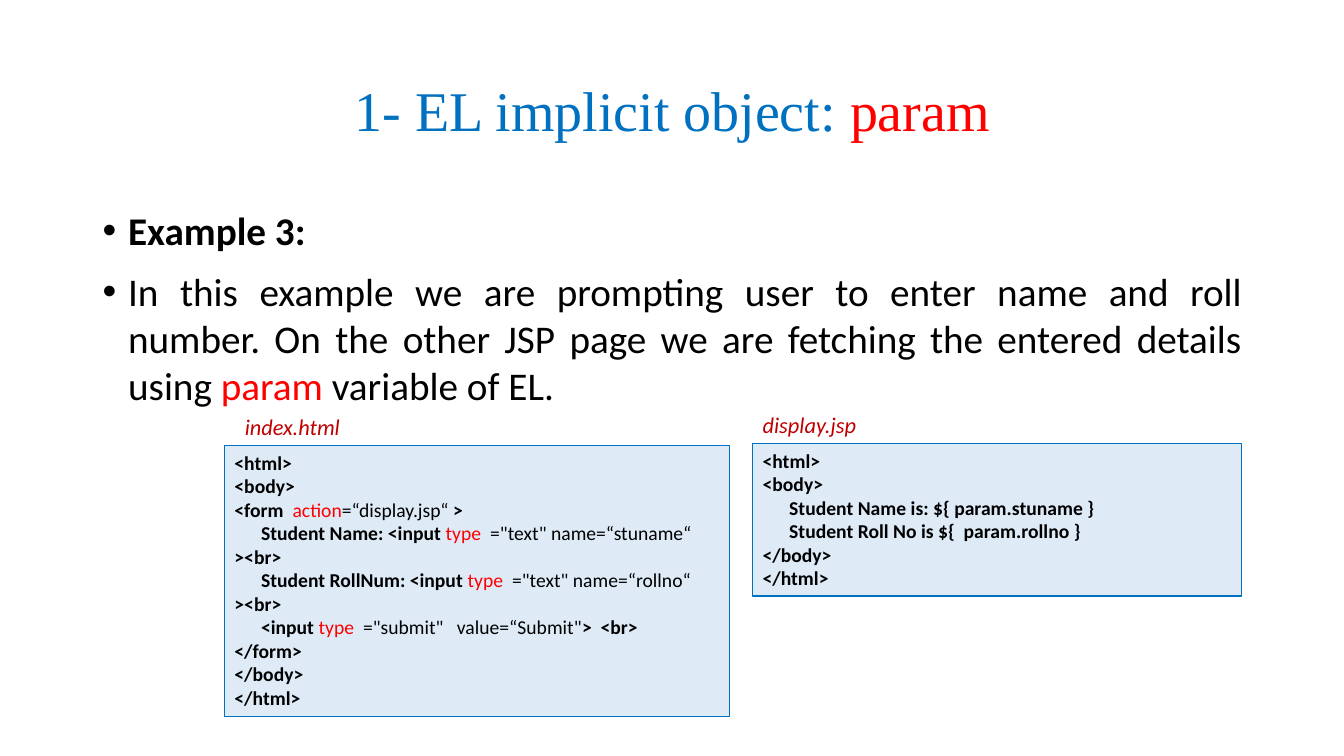
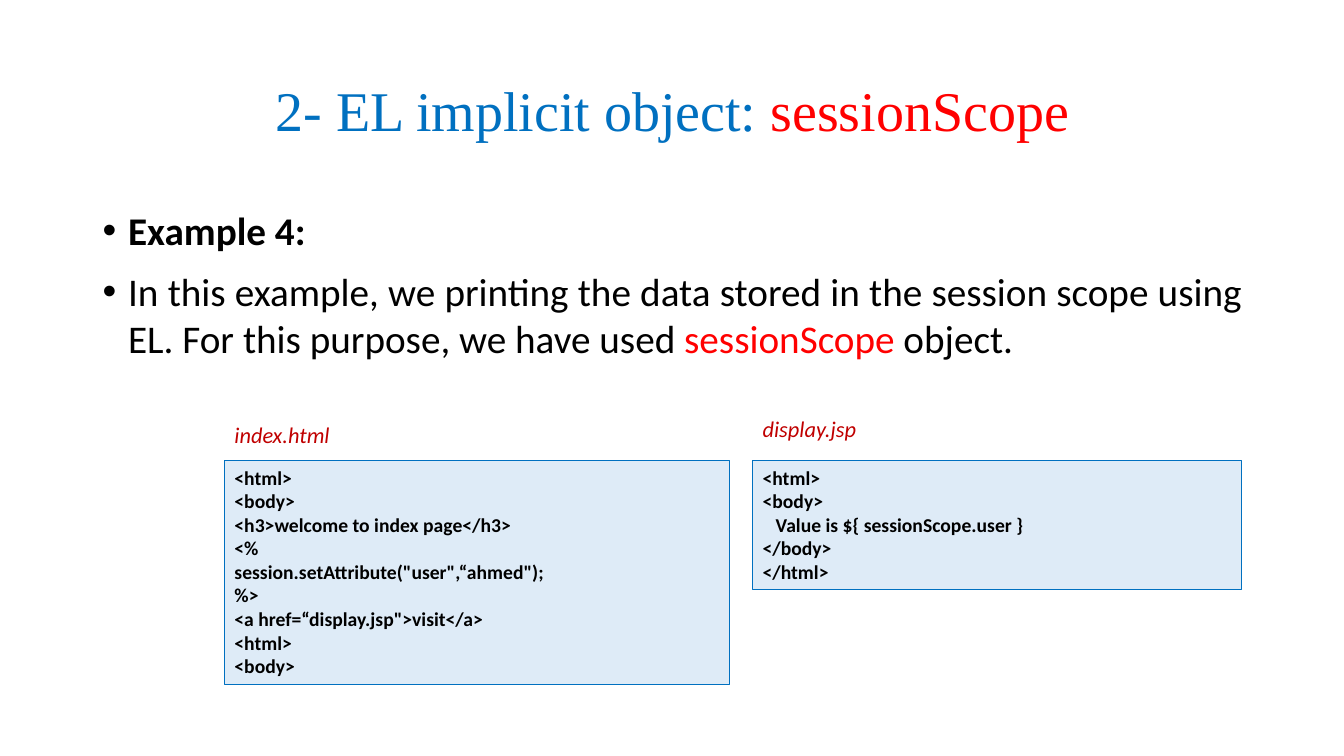
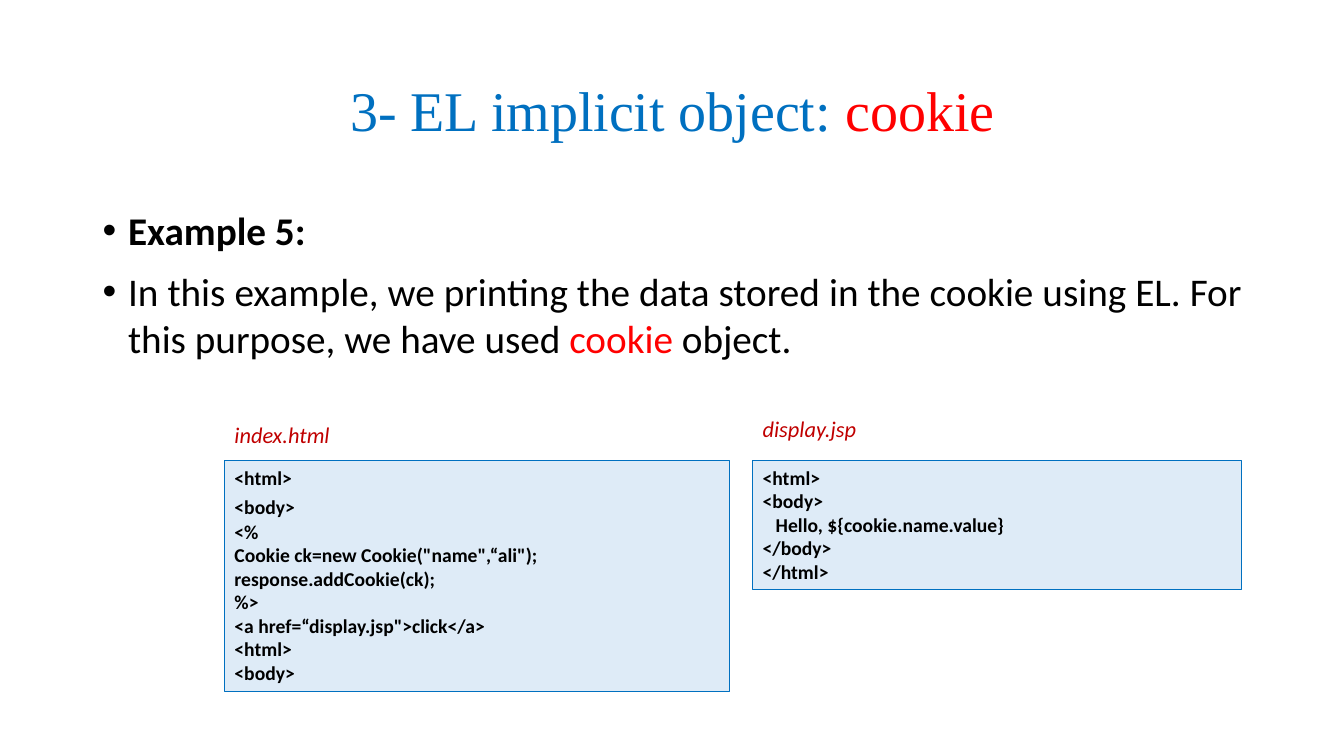
from dataclasses import dataclass

from lxml.etree import SubElement
from pptx import Presentation
from pptx.dml.color import RGBColor
from pptx.enum.shapes import MSO_SHAPE as Shape
from pptx.enum.text import MSO_ANCHOR as Anchor, MSO_AUTO_SIZE as AutoSize, PP_ALIGN as Align
from pptx.oxml.ns import qn
from pptx.util import Cm, Pt

COLORS = {
    "text": "000000",
    "blue": "0070C0",
    "red": "FF0000",
    "label": "C00000",
    "panel": "DEEBF7",
}
TITLE_FONT, BODY_FONT = "Times New Roman", "Calibri"
LEFT, WIDTH = 2.34, 29.21
INDEX_LEFT, INDEX_WIDTH = 5.66, 12.73
DISPLAY_LEFT, DISPLAY_WIDTH = 18.97, 12.32


@dataclass
class Line:
    """A line of code with its first-line indent (cm) and spacing (pt)."""
    runs: list
    indent: float = 0
    before: float = 0
    after: float = 0


def rgb(name):
    """Return the named colour."""
    return RGBColor.from_string(COLORS[name])


def plain(text):
    """Return a regular-weight code run."""
    return text, {"bold": False}


def red(text):
    """Return a regular-weight red run."""
    return text, {"bold": False, "color": "red"}


def input_line(label, attributes, ending):
    """Return an indented line holding an input tag."""
    return Line([label + "<input ", red("type  "), plain(attributes), ending], indent=0.67)


class Deck:
    """Holds the shared style and the current slide."""

    def __init__(self):
        """Start a widescreen presentation."""
        self.presentation = Presentation()
        self.presentation.slide_width = Cm(33.87)
        self.presentation.slide_height = Cm(19.05)
        self.slide = None

    def add_runs(self, paragraph, runs, size, font=BODY_FONT, color="text", bold=False,
                 italic=False):
        """Add runs, each a string or a (string, overrides) pair."""
        for item in runs:
            text, changes = (item, {}) if isinstance(item, str) else item
            run = paragraph.add_run()
            run.text = text
            run.font.name = font
            run.font.size = Pt(size)
            run.font.bold = changes.get("bold", bold)
            run.font.italic = italic
            run.font.color.rgb = rgb(changes.get("color", color))

    def paragraphs(self, frame, count):
        """Return the given number of paragraphs in a text frame."""
        return [frame.paragraphs[0]] + [frame.add_paragraph() for _ in range(count - 1)]

    def text_box(self, left, top, width, height, auto_size=AutoSize.NONE):
        """Add a wrapping text box and return its text frame."""
        box = self.slide.shapes.add_textbox(Cm(left), Cm(top), Cm(width), Cm(height))
        frame = box.text_frame
        frame.word_wrap = True
        frame.auto_size = auto_size
        return frame

    def title(self, number, name):
        """Start a slide with its two-colour title."""
        self.slide = self.presentation.slides.add_slide(self.presentation.slide_layouts[5])
        title = self.slide.shapes.title
        title.left, title.top, title.width, title.height = Cm(LEFT), Cm(1.02), Cm(WIDTH), Cm(3.68)
        frame = title.text_frame
        frame.auto_size = AutoSize.NONE
        frame.vertical_anchor = Anchor.MIDDLE
        paragraph = frame.paragraphs[0]
        paragraph.alignment = Align.CENTER
        paragraph.line_spacing = 0.9
        runs = [f"{number}- EL implicit object: ", (name, {"color": "red"})]
        self.add_runs(paragraph, runs, 40, TITLE_FONT, "blue")

    def bullets(self, items):
        """Add the justified bullet list."""
        frame = self.text_box(LEFT, 5.08, WIDTH, 12.09)
        for paragraph, runs in zip(self.paragraphs(frame, len(items)), items):
            paragraph.alignment = Align.JUSTIFY
            paragraph.space_before = Pt(10)
            properties = paragraph._p.get_or_add_pPr()
            properties.set("marL", str(Cm(0.64)))
            properties.set("indent", str(-Cm(0.64)))
            SubElement(properties, qn("a:buFont"), typeface="Arial")
            SubElement(properties, qn("a:buChar"), char="\u2022")
            self.add_runs(paragraph, runs, 28)

    def code(self, left, top, width, height, lines):
        """Add a code panel."""
        panel = self.slide.shapes.add_shape(
            Shape.RECTANGLE, Cm(left), Cm(top), Cm(width), Cm(height))
        panel.shadow.inherit = False
        panel.fill.solid()
        panel.fill.fore_color.rgb = rgb("panel")
        panel.line.color.rgb = rgb("blue")
        panel.line.width = Pt(0.75)
        frame = panel.text_frame
        frame.word_wrap = True
        frame.auto_size = AutoSize.SHAPE_TO_FIT_TEXT
        frame.vertical_anchor = Anchor.TOP
        for paragraph, line in zip(self.paragraphs(frame, len(lines)), lines):
            if isinstance(line, str):
                line = Line([line])
            paragraph.alignment = Align.LEFT
            paragraph.space_before = Pt(line.before)
            paragraph.space_after = Pt(line.after)
            if line.indent:
                paragraph._p.get_or_add_pPr().set("indent", str(Cm(line.indent)))
            self.add_runs(paragraph, line.runs, 14, bold=True)

    def label(self, left, top, width, text):
        """Add a file name above a code panel."""
        frame = self.text_box(left, top, width, 0.94, AutoSize.SHAPE_TO_FIT_TEXT)
        self.add_runs(frame.paragraphs[0], [text], 16, color="label", italic=True)

    def example(self, number, name, description, index, display,
                index_top=11.61, display_top=11.61, index_height=5.64, display_height=3.25,
                index_label=(INDEX_LEFT, 10.49), display_label_top=10.34):
        """Build one example slide."""
        self.title(number, name)
        self.bullets([[(f"Example {number + 2}:", {"bold": True})], description])
        self.code(INDEX_LEFT, index_top, INDEX_WIDTH, index_height, index)
        self.code(DISPLAY_LEFT, display_top, DISPLAY_WIDTH, display_height,
                  ["<html>", "<body>", *display, "</body>", "</html>"])
        self.label(DISPLAY_LEFT, display_label_top, 3.73, "display.jsp")
        self.label(*index_label, 4.01, "index.html")


deck = Deck()
deck.example(
    1, "param",
    ["In this example we are prompting user to enter name and roll number. On the other "
     "JSP page we are fetching the entered details using ", red("param"), " variable of EL."],
    ["<html>", "<body>",
     Line(["<form  ", red("action"), plain("=“display.jsp“ "), ">"]),
     input_line("Student Name: ", '="text" name=“stuname“ ', "><br>"),
     input_line("Student RollNum: ", '="text" name=“rollno“ ', "><br>"),
     input_line("", '="submit"   value=“Submit"', ">  <br>"),
     "</form>", "</body>", "</html>"],
    [Line(["Student Name is: ${ param.stuname }"], indent=0.67),
     Line(["Student Roll No is ${  param.rollno }"], indent=0.67)],
    index_top=11.23, display_top=11.18, index_height=6.83, display_height=3.84,
    index_label=(5.92, 10.29), display_label_top=10.24)
deck.example(
    2, "sessionScope",
    ["In this example, we printing the data stored in the session scope using EL. "
     "For this purpose, we have used ", red("sessionScope "), "object."],
    ["<html>", "<body>", "<h3>welcome to index page</h3>", "<%",
     'session.setAttribute("user",“ahmed");', "%>",
     '<a href=“display.jsp">visit</a>', "<html>", "<body>"],
    [Line(["Value is ${ sessionScope.user }"], indent=0.33)])
deck.example(
    3, "cookie",
    ["In this example, we printing the data stored in the cookie using EL. "
     "For this purpose, we have used ", red("cookie "), "object."],
    ["<html>", Line(["<body>"], before=4, after=1), "<%",
     'Cookie ck=new Cookie("name",“ali");', "response.addCookie(ck);", "%>",
     '<a href=“display.jsp">click</a>', "<html>", "<body>"],
    [Line(["Hello, ${cookie.name.value}"], indent=0.33)],
    index_height=5.82)
deck.presentation.save("out.pptx")
